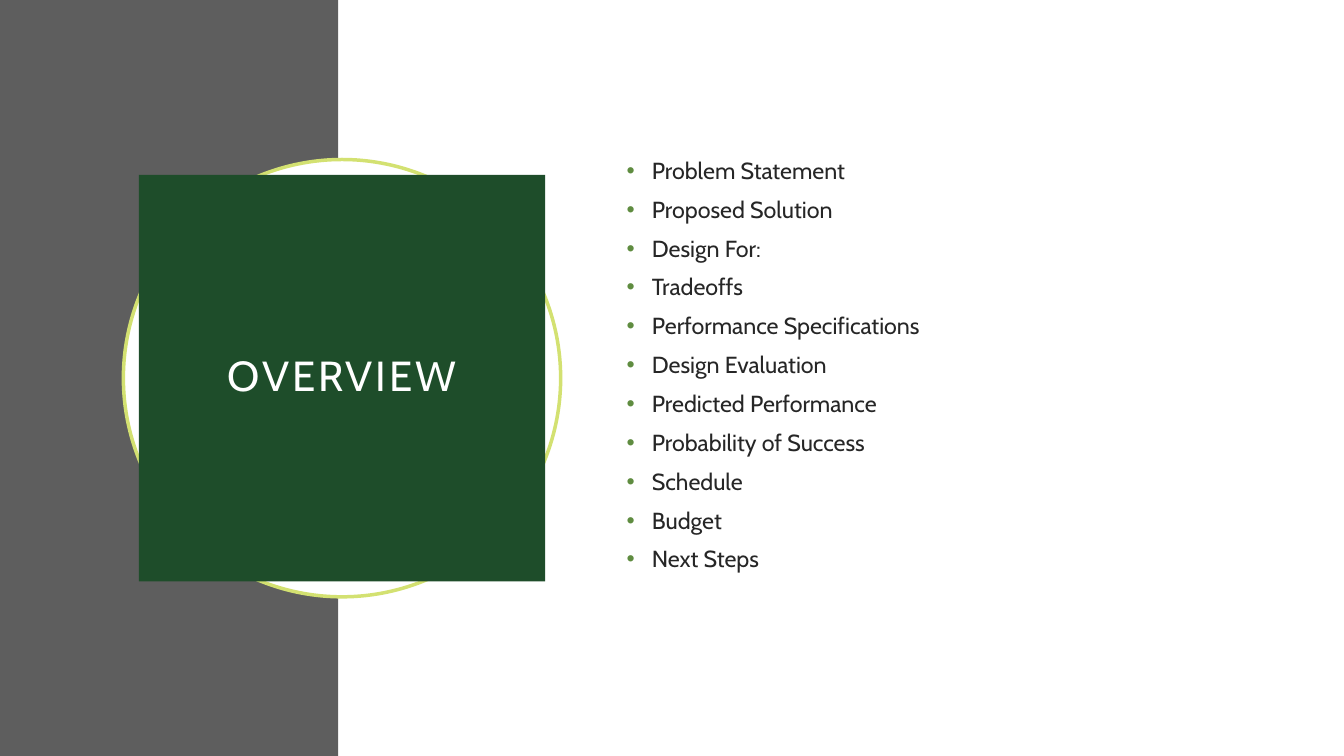
import dataclasses

import pptx
import pptx.dml.color
import pptx.enum.shapes
import pptx.enum.text
import pptx.oxml
import pptx.oxml.ns
import pptx.util
from pptx.util import Cm

SHAPES = pptx.enum.shapes.MSO_SHAPE
ALIGN = pptx.enum.text.PP_ALIGN
ANCHOR = pptx.enum.text.MSO_ANCHOR

TOPICS = [
    "Problem Statement",
    "Proposed Solution",
    "Design For:",
    "Tradeoffs",
    "Performance Specifications",
    "Design Evaluation",
    "Predicted Performance",
    "Probability of Success",
    "Schedule",
    "Budget",
    "Next Steps",
]


@dataclasses.dataclass(frozen=True)
class Theme:
    """Colours, font and type sizes of the deck."""

    font: str = "Cabin"
    band: str = "5E5E5E"
    paper: str = "FFFFFF"
    ring: str = "D3E171"
    tile: str = "1E4D2A"
    text: str = "262626"
    bullet: str = "5F8C40"
    title_size: float = 30
    body_size: float = 16.6
    ring_width: float = 2.5


THEME = Theme()


def rgb(code):
    """Turn a hex code into a colour."""
    return pptx.dml.color.RGBColor.from_string(code)


def apply(target, values):
    """Set each named attribute on the target."""
    for name, value in values.items():
        setattr(target, name, value)


def add_panel(page, kind, box, fill, line=None):
    """Add a flat shape filling the box, outlined if a line colour is given."""
    shape = page.shapes.add_shape(kind, *(Cm(length) for length in box))
    shape.shadow.inherit = False
    shape.fill.solid()
    shape.fill.fore_color.rgb = rgb(fill)
    if line:
        shape.line.color.rgb = rgb(line)
        shape.line.width = pptx.util.Pt(THEME.ring_width)
    else:
        shape.line.fill.background()
    return shape


def style_font(font, size, color):
    """Give a font the theme face with a size and colour."""
    apply(font, {"name": THEME.font, "size": pptx.util.Pt(size)})
    font.color.rgb = rgb(color)


def add_backdrop(page, box, band_width):
    """Split the box into a dark band and a white area."""
    left, top, width, height = box
    add_panel(page, SHAPES.RECTANGLE, (left, top, band_width, height), THEME.band)
    rest = (left + band_width, top, width - band_width, height)
    add_panel(page, SHAPES.RECTANGLE, rest, THEME.paper)


def add_title(page, box, title, inset=0.39):
    """Place a ring in the box and the title tile inside it."""
    left, top, width, height = box
    add_panel(page, SHAPES.OVAL, box, THEME.paper, THEME.ring)
    inner = (left + inset, top + inset, width - 2 * inset, height - 2 * inset)
    tile = add_panel(page, SHAPES.RECTANGLE, inner, THEME.tile)
    margins = {f"margin_{side}": Cm(0.5) for side in ("left", "top", "right", "bottom")}
    apply(tile.text_frame, {"word_wrap": True, "vertical_anchor": ANCHOR.MIDDLE, **margins})
    para = tile.text_frame.paragraphs[0]
    apply(para, {"alignment": ALIGN.CENTER, "line_spacing": 0.9})
    span = para.add_run()
    span.text = title
    style_font(span.font, THEME.title_size, THEME.paper)
    span.font._element.set("spc", "200")


def add_bullet(para):
    """Give a paragraph a coloured hanging bullet."""
    properties = para._p.get_or_add_pPr()
    indent = Cm(0.64)
    properties.set("marL", str(indent))
    properties.set("indent", str(-indent))
    namespace = pptx.oxml.ns.nsdecls("a")
    for markup in (
        f'<a:buClr {namespace}><a:srgbClr val="{THEME.bullet}"/></a:buClr>',
        f'<a:buFont {namespace} typeface="Arial"/>',
        f'<a:buChar {namespace} char="•"/>',
    ):
        properties.append(pptx.oxml.parse_xml(markup))


def add_topics(page, box, topics):
    """List the topics as bullets in the box."""
    frame = page.shapes.add_textbox(*(Cm(length) for length in box)).text_frame
    apply(frame, {"word_wrap": True, "vertical_anchor": ANCHOR.TOP})
    for index, topic in enumerate(topics):
        para = frame.add_paragraph() if index else frame.paragraphs[0]
        add_bullet(para)
        space = pptx.util.Pt(9.8 if index else 0)
        apply(para, {"line_spacing": 0.9, "space_before": space})
        span = para.add_run()
        span.text = topic
        style_font(span.font, THEME.body_size, THEME.text)


def add_overview(deck):
    """Build the overview slide."""
    page = deck.slides.add_slide(deck.slide_layouts[6])
    add_backdrop(page, (0, 0, 33.87, 19.05), 8.53)
    add_title(page, (3.11, 4.02, 11.02, 11.02), "OVERVIEW")
    add_topics(page, (15.54, 3.89, 14.78, 11.25), TOPICS)


def main():
    """Create and save the deck."""
    deck = pptx.Presentation()
    apply(deck, {"slide_width": Cm(33.87), "slide_height": Cm(19.05)})
    add_overview(deck)
    deck.save("out.pptx")


if __name__ == "__main__":
    main()
